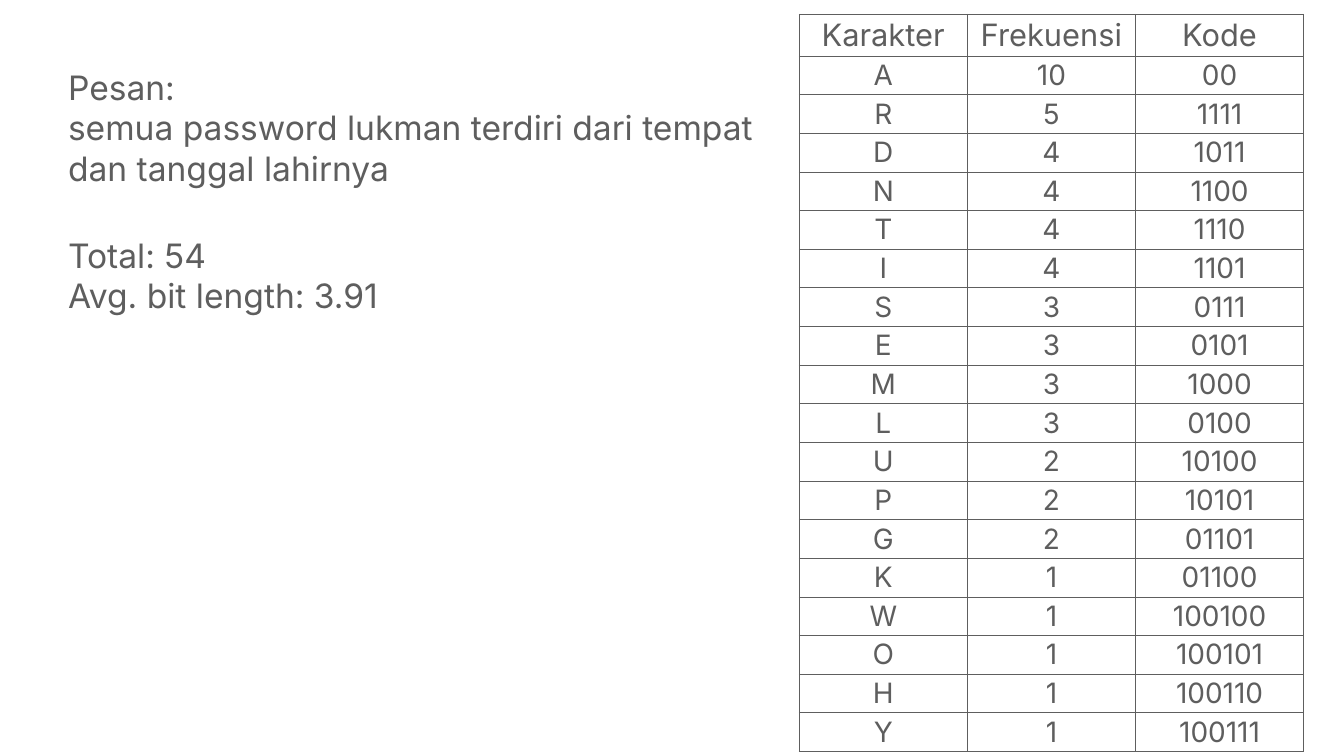
from lxml.etree import SubElement
from pptx import Presentation
from pptx.dml.color import RGBColor
from pptx.enum.text import MSO_ANCHOR as Anchor, PP_ALIGN as Align
from pptx.oxml.ns import qn
from pptx.util import Inches, Pt

COLORS = {"ink": "5E5E5E"}
FONT = "Inter"
SIZES = {"note": 48, "header": 44, "code": 40}
SLIDE_W, SLIDE_H = 26.67, 15

MESSAGE = ["Pesan: ", "semua password lukman terdiri dari tempat", "dan tanggal lahirnya"]
SUMMARY = ["Total: 54", "Avg. bit length: 3.91"]
HEADINGS = ("Karakter", "Frekuensi", "Kode")
CODES = [
    ("A", 10, "00"), ("R", 5, "1111"), ("D", 4, "1011"), ("N", 4, "1100"),
    ("T", 4, "1110"), ("I", 4, "1101"), ("S", 3, "0111"), ("E", 3, "0101"),
    ("M", 3, "1000"), ("L", 3, "0100"), ("U", 2, "10100"), ("P", 2, "10101"),
    ("G", 2, "01101"), ("K", 1, "01100"), ("W", 1, "100100"), ("O", 1, "100101"),
    ("H", 1, "100110"), ("Y", 1, "100111"),
]

NOTES = [(MESSAGE, (1.29, 1.27, 17.82, 3.34)), (SUMMARY, (1.29, 4.6, 14.57, 1.73))]
TABLE_BOX = (15.86, 0.28, 10.01, 14.63)
HEADER_H = 0.83
NOTE_INSET, CELL_INSET = 0.06, 0.04
SIDES = ("left", "right", "top", "bottom")


def apply(target, values):
    """Set each attribute in values on target."""
    for key, value in values.items():
        setattr(target, key, value)


def insets(size):
    """Return equal margins for all four sides."""
    return {f"margin_{side}": Inches(size) for side in SIDES}


def write(paragraph, text, size, align=Align.LEFT):
    """Write one line of text in the slide's type style."""
    paragraph.alignment = align
    run = paragraph.add_run()
    run.text = str(text)
    apply(run.font, {"name": FONT, "size": Pt(size), "bold": False})
    run.font.color.rgb = RGBColor.from_string(COLORS["ink"])


def add_note(slide, lines, box):
    """Add a text block with one paragraph per line."""
    frame = slide.shapes.add_textbox(*map(Inches, box)).text_frame
    apply(frame, {"word_wrap": True, "vertical_anchor": Anchor.TOP, **insets(NOTE_INSET)})
    for index, line in enumerate(lines):
        paragraph = frame.add_paragraph() if index else frame.paragraphs[0]
        write(paragraph, line, SIZES["note"])


def outline(cell):
    """Draw a thin border on every side of a cell."""
    properties = cell._tc.get_or_add_tcPr()
    for position, edge in enumerate(("a:lnL", "a:lnR", "a:lnT", "a:lnB")):
        line = SubElement(properties, qn(edge), w=str(Pt(1)))
        fill = SubElement(line, qn("a:solidFill"))
        SubElement(fill, qn("a:srgbClr"), val=COLORS["ink"])
        properties.insert(position, line)


def add_code_table(slide):
    """Add the character, frequency and code table."""
    rows = [HEADINGS, *CODES]
    box = map(Inches, TABLE_BOX)
    table = slide.shapes.add_table(len(rows), len(HEADINGS), *box).table
    apply(table, {"first_row": False, "horz_banding": False})
    for column in table.columns:
        column.width = Inches(TABLE_BOX[2] / len(HEADINGS))
    code_h = (TABLE_BOX[3] - HEADER_H) / len(CODES)
    for index, values in enumerate(rows):
        table.rows[index].height = Inches(code_h if index else HEADER_H)
        size = SIZES["code" if index else "header"]
        for cell, value in zip(table.rows[index].cells, values):
            apply(cell, {"vertical_anchor": Anchor.MIDDLE, **insets(CELL_INSET)})
            cell.fill.background()
            outline(cell)
            write(cell.text_frame.paragraphs[0], value, size, Align.CENTER)


deck = Presentation()
apply(deck, {"slide_width": Inches(SLIDE_W), "slide_height": Inches(SLIDE_H)})
slide = deck.slides.add_slide(deck.slide_layouts[6])
for lines, box in NOTES:
    add_note(slide, lines, box)
add_code_table(slide)
deck.save("out.pptx")
